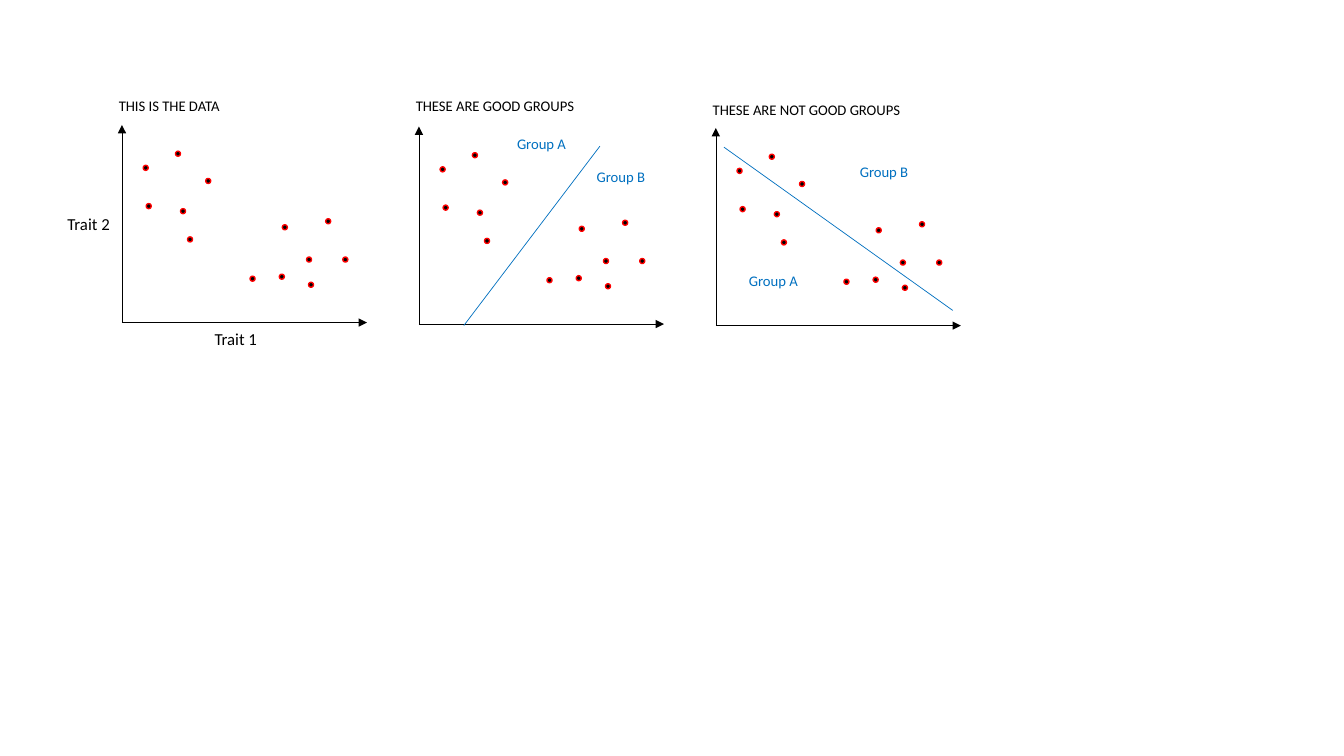
from lxml import etree
from pptx import Presentation
from pptx.dml.color import RGBColor
from pptx.enum.shapes import MSO_CONNECTOR, MSO_SHAPE
from pptx.enum.text import MSO_AUTO_SIZE
from pptx.oxml.ns import qn
from pptx.util import Inches, Pt

STRAIGHT = MSO_CONNECTOR.STRAIGHT
OVAL = MSO_SHAPE.OVAL
GROW = MSO_AUTO_SIZE.SHAPE_TO_FIT_TEXT

CELL = 0.1
FONT = "Calibri"
BLACK, RED, BLUE = "000000", "FF0000", "0070C0"
DOT = 0.5
LEFT, BASE = 12.1, 32.0
PITCH, DROP = 29.45, 0.15
AXIS_W, AXIS_H = 24.3, 19.6

DATA = [
    (2.35, 15.35), (5.55, 16.75), (2.65, 11.55), (8.55, 14.05),
    (6.05, 11.05), (6.75, 8.25), (16.15, 9.45), (15.85, 4.55),
    (20.45, 10.05), (18.55, 6.25), (18.75, 3.75), (22.15, 6.25),
    (12.95, 4.35),
]
PANELS = [
    ("THIS IS THE DATA", 9.1, 20.1),
    ("THESE ARE GOOD GROUPS", 9.1, 20.1),
    ("THESE ARE NOT GOOD GROUPS", 9.5, 23.5),
]
DIVIDERS = [(59.5, 14.5, 46.0, 32.3), (71.8, 14.6, 94.5, 30.8)]
TRAITS = [("Trait 1", 20.3, 32.1), ("Trait 2", 5.7, 20.7)]
GROUPS = [
    ("Group A", 50.3, 12.9), ("Group B", 58.2, 16.2),
    ("Group A", 73.3, 26.5), ("Group B", 84.3, 15.7),
]


def rgb(value):
    """Turn a hex string into a colour."""
    return RGBColor.from_string(value)


def cells(*counts):
    """Turn counts of grid cells into lengths."""
    return [Inches(n * CELL) for n in counts]


class Sketch:
    """Draws scatter plot elements on one slide, measured in grid cells."""

    def __init__(self, slide, font):
        self.shapes = slide.shapes
        self.font = font

    def text(self, text, x, y, w, h, size, color, wrap=False):
        """Add a one-line text box."""
        tf = self.shapes.add_textbox(*cells(x, y, w, h)).text_frame
        tf.word_wrap = wrap
        tf.auto_size = GROW
        p = tf.paragraphs[0]
        p.text = text
        p.font.name = self.font
        p.font.size = Pt(size)
        p.font.color.rgb = rgb(color)

    def line(self, x1, y1, x2, y2, color, arrow=False):
        """Add a thin straight line, with an arrowhead at its end if asked."""
        cx = self.shapes.add_connector(STRAIGHT, *cells(x1, y1, x2, y2))
        cx.line.color.rgb = rgb(color)
        cx.line.width = Pt(0.5)
        if arrow:
            ln = cx.line._get_or_add_ln()
            etree.SubElement(ln, qn("a:tailEnd"), type="triangle")
        etree.SubElement(cx._element.spPr, qn("a:effectLst"))

    def dot(self, x, y):
        """Add a data point centred on a position."""
        sp = self.shapes.add_shape(
            OVAL, *cells(x - DOT / 2, y - DOT / 2, DOT, DOT))
        sp.shadow.inherit = False
        sp.fill.solid()
        sp.fill.fore_color.rgb = rgb(BLACK)
        sp.line.color.rgb = rgb(RED)
        sp.line.width = Pt(1)

    def plot(self, x, y, points):
        """Add both axes from an origin and the points above it."""
        self.line(x, y, x, y - AXIS_H, BLACK, arrow=True)
        self.line(x, y, x + AXIS_W, y, BLACK, arrow=True)
        for dx, dy in points:
            self.dot(x + dx, y - dy)


def main():
    """Build the slide and save it."""
    prs = Presentation()
    prs.slide_width, prs.slide_height = Inches(13.33), Inches(7.5)
    s = Sketch(prs.slides.add_slide(prs.slide_layouts[6]), FONT)
    for i, (title, top, width) in enumerate(PANELS):
        x, y = LEFT + i * PITCH, BASE + i * DROP
        s.plot(x, y, DATA)
        s.text(title, x - 1.3, top, width, 2.8, 10.5, BLACK, wrap=True)
    for ends in DIVIDERS:
        s.line(*ends, BLUE)
    for label, x, y in TRAITS:
        s.text(label, x, y, 6.3, 3, 12, BLACK)
    for label, x, y in GROUPS:
        s.text(label, x, y, 7, 2.8, 10.5, BLUE)
    prs.save("out.pptx")


if __name__ == "__main__":
    main()
